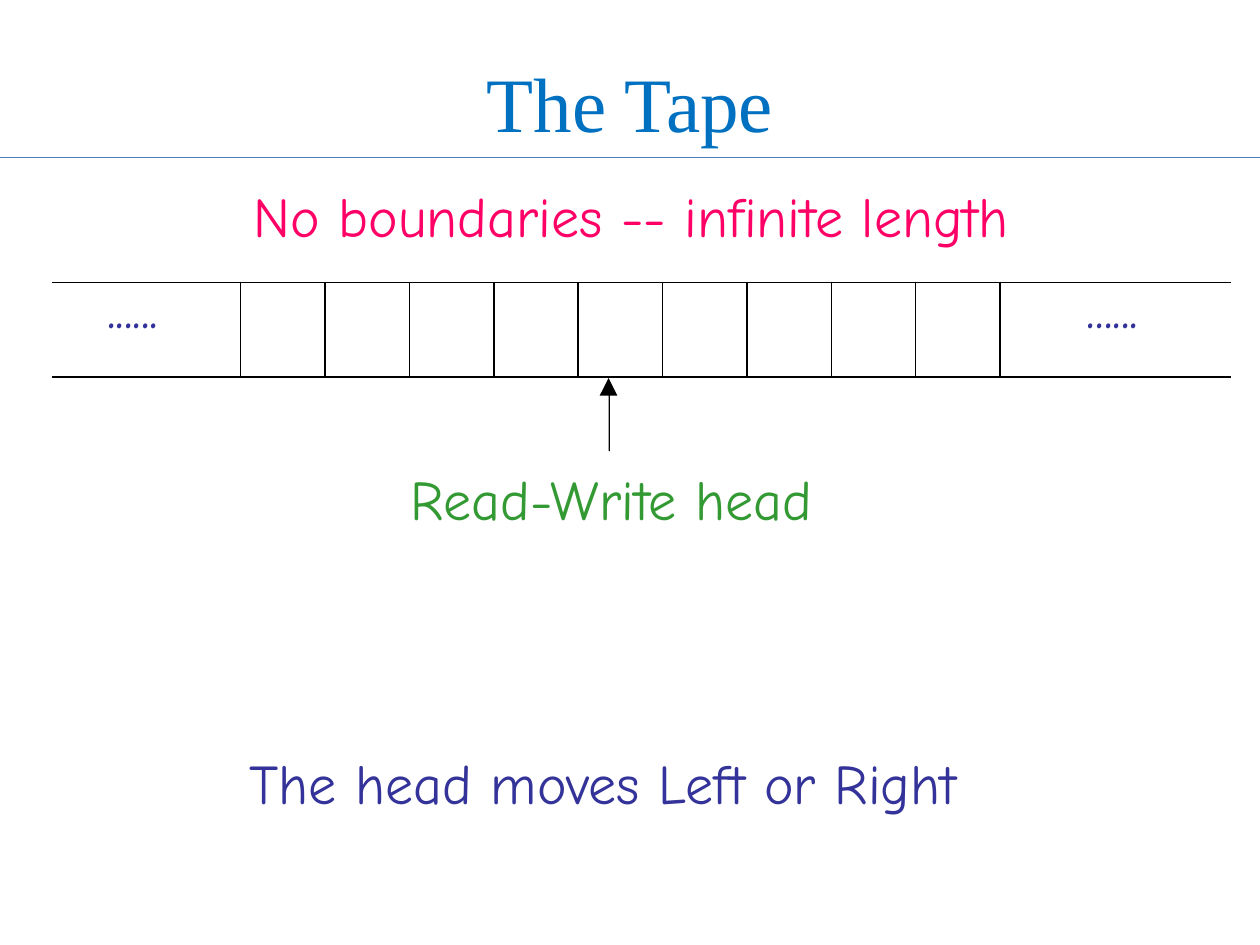
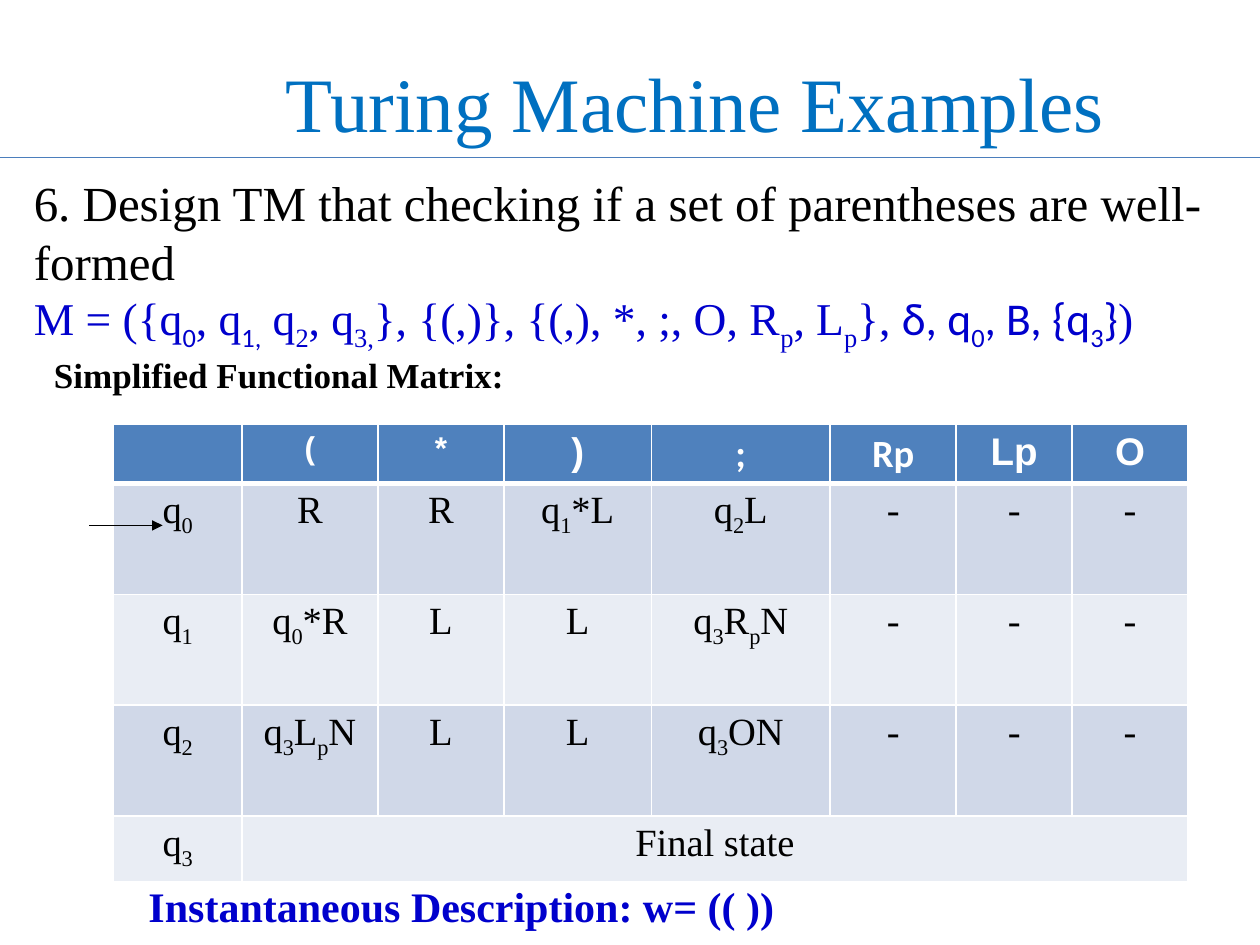
from dataclasses import dataclass

from lxml.etree import SubElement
from pptx import Presentation
from pptx.dml.color import RGBColor
from pptx.enum.shapes import MSO_CONNECTOR as Connector
from pptx.enum.text import MSO_ANCHOR as Anchor, PP_ALIGN as Align
from pptx.oxml.ns import qn
from pptx.util import Inches, Pt


@dataclass(frozen=True)
class Theme:
    title: str = "0070C0"
    rule: str = "4B7EBC"
    ink: str = "000000"
    white: str = "FFFFFF"
    pink: str = "FF0066"
    green: str = "339933"
    indigo: str = "333399"
    blue: str = "0000CC"
    header: str = "4F81BD"
    bands: tuple = ("D0D8E8", "E9EDF4")
    serif: str = "Times New Roman"
    sans: str = "Arial"
    math: str = "Calibri"
    hand: str = "Comic Neue"
    title_size: int = 44
    hand_size: int = 32
    question_size: int = 28
    formula_size: int = 26
    closing_size: int = 24
    cell_size: int = 22
    label_size: int = 20
    symbol_size: int = 18


class Deck:
    def __init__(self, theme):
        self.theme = theme
        self.presentation = Presentation()
        self.presentation.slide_width = Inches(10)
        self.presentation.slide_height = Inches(7.5)
        self.slide = None

    def new_slide(self, title, title_left=0):
        theme = self.theme
        self.slide = self.presentation.slides.add_slide(self.presentation.slide_layouts[5])
        shape = self.slide.shapes.title
        shape.left, shape.top = Inches(title_left), Inches(0)
        shape.width, shape.height = Inches(10 - title_left), Inches(1.61)
        shape.text_frame.vertical_anchor = Anchor.MIDDLE
        self.set_text(shape.text_frame.paragraphs[0], title, theme.serif,
                      theme.title_size, theme.title, align=Align.CENTER)
        self.line((0, 1.25), (10, 1.25), theme.rule)

    def set_text(self, paragraph, text, font, size, color, bold=False, align=Align.LEFT):
        """Parts of the text between bars are set as subscripts."""
        paragraph.alignment = align
        paragraph.font.name = font
        paragraph.font.size = Pt(size)
        paragraph.font.bold = bold
        paragraph.font.color.rgb = RGBColor.from_string(color)
        self.add_runs(paragraph, text)

    def add_runs(self, paragraph, text, font=None):
        for index, part in enumerate(text.split("|")):
            if part:
                run = paragraph.add_run()
                run.text = part
                if font:
                    run.font.name = font
                if index % 2:
                    run._r.get_or_add_rPr().set("baseline", "-25000")

    def text_box(self, left, top, width, height):
        frame = self.slide.shapes.add_textbox(
            Inches(left), Inches(top), Inches(width), Inches(height)).text_frame
        frame.word_wrap = True
        return frame

    def label(self, text, left, top, width, height, size, color):
        frame = self.text_box(left, top, width, height)
        self.set_text(frame.paragraphs[0], text, self.theme.serif, size, color, bold=True)

    def hand_note(self, text, left, top, width, color):
        frame = self.text_box(left, top, width, 0.55)
        frame.margin_left = frame.margin_top = Inches(0.01)
        frame.margin_right = frame.margin_bottom = 0
        paragraph = frame.paragraphs[0]
        paragraph.space_before = Pt(1)
        self.set_text(paragraph, text, self.theme.hand, self.theme.hand_size, color)

    def line(self, start, end, color, arrow=False):
        connector = self.slide.shapes.add_connector(
            Connector.STRAIGHT, *(Inches(value) for value in start + end))
        connector.line.color.rgb = RGBColor.from_string(color)
        connector.line.width = Pt(0.75)
        if arrow:
            SubElement(connector.line._get_or_add_ln(), qn("a:tailEnd"), type="triangle")
        SubElement(connector._element.spPr, qn("a:effectLst"))

    def outline(self, points, color):
        start, *others = [(Inches(x), Inches(y)) for x, y in points]
        builder = self.slide.shapes.build_freeform(*start)
        builder.add_line_segments(others, close=True)
        shape = builder.convert_to_shape()
        shape.shadow.inherit = False
        shape.fill.solid()
        shape.fill.fore_color.rgb = RGBColor.from_string(color)
        shape.line.fill.background()

    def table(self, left, top, widths, heights):
        table = self.slide.shapes.add_table(
            len(heights), len(widths), Inches(left), Inches(top),
            Inches(sum(widths)), Inches(sum(heights))).table
        table.first_row = table.horz_banding = False
        for column, width in zip(table.columns, widths):
            column.width = Inches(width)
        for row, height in zip(table.rows, heights):
            row.height = Inches(height)
        return table

    def style_cell(self, cell, border, fill=None, **widths):
        properties = cell._tc.get_or_add_tcPr()
        for side in "LRTB":
            width = widths.get(side, 1)
            edge = SubElement(properties, qn(f"a:ln{side}"), w=str(Pt(width)))
            if width:
                paint = SubElement(edge, qn("a:solidFill"))
                SubElement(paint, qn("a:srgbClr"), val=border)
            else:
                SubElement(edge, qn("a:noFill"))
        if fill:
            cell.fill.solid()
            cell.fill.fore_color.rgb = RGBColor.from_string(fill)
        else:
            cell.fill.background()


def build_tape_slide(deck):
    theme = deck.theme
    deck.new_slide("The Tape")
    tape = deck.table(0.41, 2.24, [1.5] + [0.67] * 9 + [1.83], [0.75])
    last = len(tape.columns) - 1
    for index, cell in enumerate(tape.rows[0].cells):
        deck.style_cell(cell, theme.ink, L=int(index > 0), R=int(index < last))
    for index, indent in ((0, 0.44), (last, 0.69)):
        cell = tape.cell(0, index)
        cell.margin_left = Inches(indent)
        cell.margin_right = cell.margin_top = cell.margin_bottom = 0
        paragraph = cell.text_frame.paragraphs[0]
        paragraph.line_spacing = Pt(34.4)
        deck.set_text(paragraph, "......", theme.hand, theme.hand_size, theme.indigo)

    deck.outline([(4.83, 3), (4.9, 3.14), (4.84, 3.14), (4.84, 3.58),
                  (4.83, 3.58), (4.83, 3.14), (4.76, 3.14)], theme.ink)
    deck.hand_note("Read-Write head", 3.25, 3.68, 3.6, theme.green)
    deck.hand_note("No boundaries -- infinite length", 2, 1.43, 6.59, theme.pink)
    deck.hand_note("The head moves Left or Right", 1.97, 5.93, 6.22, theme.indigo)


def build_matrix_slide(deck):
    theme = deck.theme
    deck.new_slide("Turing Machine Examples", title_left=1.04)

    frame = deck.text_box(0.17, 1.32, 9.67, 2.59)
    deck.set_text(frame.paragraphs[0],
                  "6. Design TM that checking if a set of parentheses are well-formed",
                  theme.serif, theme.question_size, theme.ink)
    formula = frame.add_paragraph()
    deck.set_text(formula, "M = ({q", theme.serif, theme.formula_size, theme.blue)
    for text, font in (
        ("|0|", theme.math), (", q", theme.serif), ("|1,|", theme.math),
        (" q|2|, q|3,|}, {(,)}, {(,), *, ;, O, R|p|, L|p|}, ", theme.serif),
        ("δ, q|0|, B, {q|3|}", theme.math), (")", theme.serif),
    ):
        deck.add_runs(formula, text, font)

    headings = [
        ("", theme.sans, theme.cell_size),
        ("(", theme.sans, theme.symbol_size),
        ("*", theme.sans, theme.symbol_size),
        (")", theme.sans, theme.cell_size),
        (";", theme.math, theme.cell_size),
        ("Rp", theme.math, theme.cell_size),
        ("Lp", theme.sans, theme.cell_size),
        ("O", theme.sans, theme.cell_size),
    ]
    states = [
        ["q|0|", "R", "R", "q|1|*L", "q|2|L", "-", "-", "-"],
        ["q|1|", "q|0|*R", "L", "L", "q|3|R|p|N", "-", "-", "-"],
        ["q|2|", "q|3|L|p|N", "L", "L", "q|3|ON", "-", "-", "-"],
        ["q|3|", "Final state"],
    ]
    matrix = deck.table(0.9, 3.37, [1.02, 1.08, 1, 1.17, 1.42, 1, 0.92, 0.92],
                        [0.46, 0.88, 0.88, 0.88, 0.51])
    matrix.cell(4, 1).merge(matrix.cell(4, 7))
    for column, (text, font, size) in enumerate(headings):
        cell = matrix.cell(0, column)
        deck.style_cell(cell, theme.white, theme.header, B=3)
        deck.set_text(cell.text_frame.paragraphs[0], text, font, size, theme.white,
                      bold=True, align=Align.CENTER)
    for row, texts in enumerate(states, 1):
        for cell in matrix.rows[row].cells:
            deck.style_cell(cell, theme.white, theme.bands[(row - 1) % 2],
                            T=3 if row == 1 else 1)
        for column, text in enumerate(texts):
            deck.set_text(matrix.cell(row, column).text_frame.paragraphs[0], text,
                          theme.serif, theme.cell_size, theme.ink, align=Align.CENTER)

    deck.line((0.71, 4.17), (1.29, 4.17), theme.ink, arrow=True)
    deck.label("Instantaneous Description: w= (( ))", 1.08, 6.94, 8.21, 0.5,
               theme.closing_size, theme.blue)
    deck.label("Simplified Functional Matrix:", 0.33, 2.76, 5.92, 0.44,
               theme.label_size, theme.ink)


def main():
    deck = Deck(Theme())
    build_tape_slide(deck)
    build_matrix_slide(deck)
    deck.presentation.save("out.pptx")


if __name__ == "__main__":
    main()
